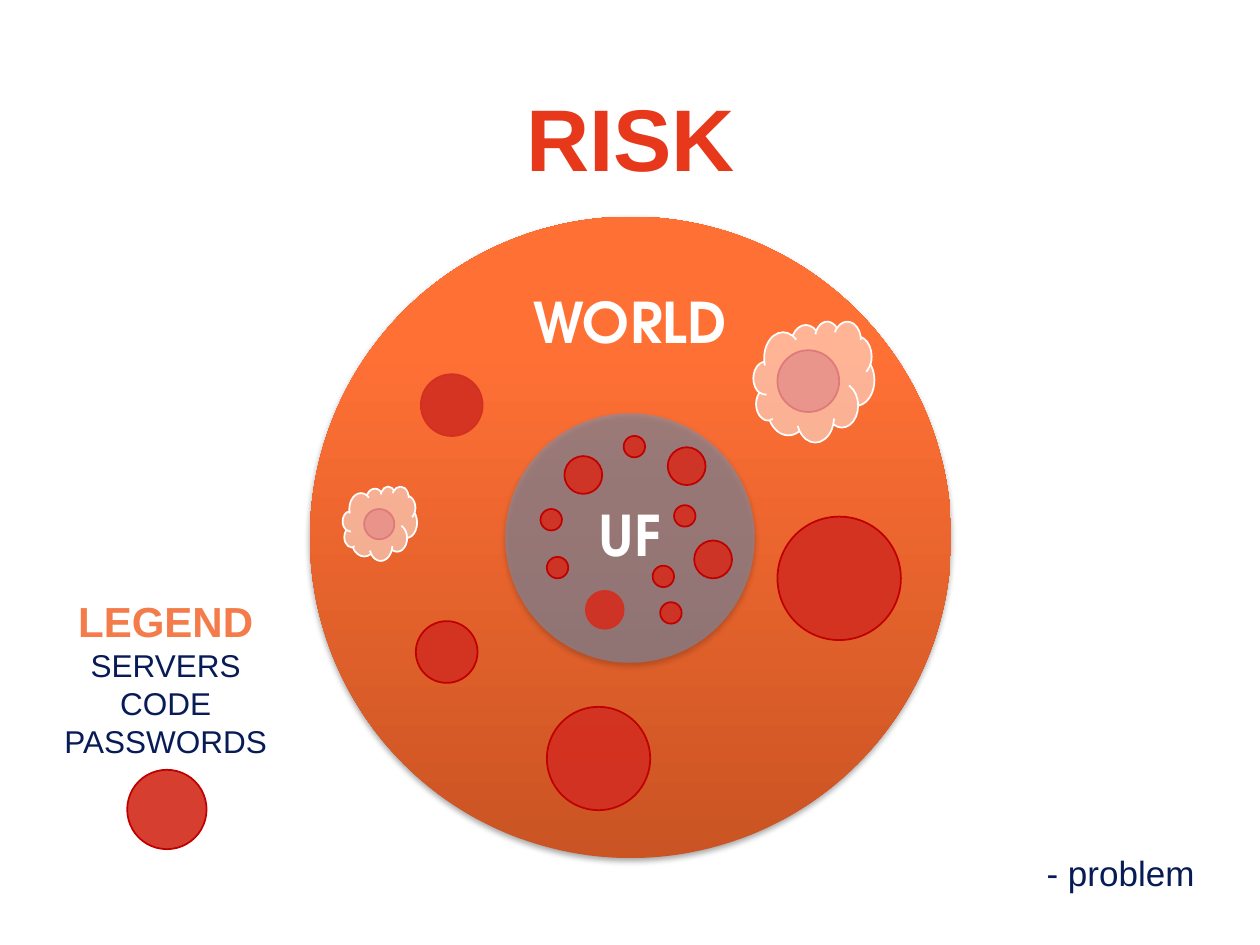
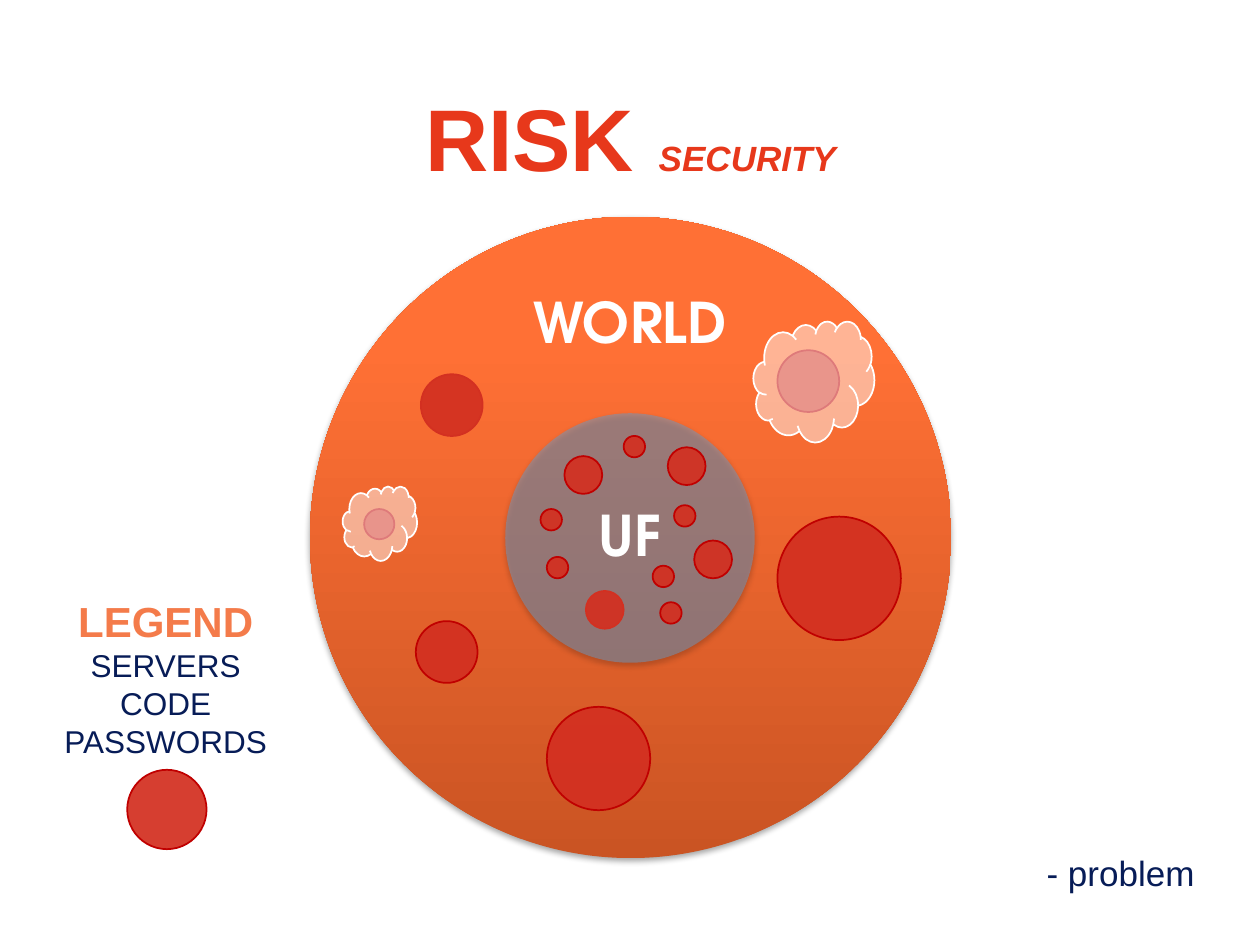
from lxml import etree
from pptx import Presentation
from pptx.dml.color import RGBColor
from pptx.enum.shapes import MSO_SHAPE
from pptx.enum.text import MSO_ANCHOR, PP_ALIGN
from pptx.oxml.ns import qn
from pptx.util import Inches, Pt

ELLIPSE, CLOUD = MSO_SHAPE.OVAL, MSO_SHAPE.CLOUD
MIDDLE, TOP = MSO_ANCHOR.MIDDLE, MSO_ANCHOR.TOP
CENTER, RIGHT = PP_ALIGN.CENTER, PP_ALIGN.RIGHT
TITLE_ONLY = 5

COLORS = {
    "title": "E7381B", "legend": "F47B4A", "navy": "071C57", "white": "FFFFFF",
    "dot": "D33021", "dot_line": "C00000", "core": "6A9AC5", "shadow": "000000",
}
WORLD_STOPS = [(0, "CA5423"), (80, "FF7035"), (100, "FF7137")]
BODY_FONT, LABEL_FONT = "Arial", "TeX Gyre Adventor"

# Left, top and size of each mark, relative to the circle that holds it
WORLD_DOTS = [(3.71, 2.38, 0.98), (1.88, 3.89, 0.82), (0.84, 3.21, 0.49),
              (0.43, 2.32, 0.24), (3.71, 1.06, 0.49)]
WORLD_PLAIN_DOT = (0.88, 1.25, 0.49)
CLOUDS = [(3.52, 0.83, 0.96), (0.26, 2.14, 0.59)]
CORE_DOTS = [(1.5, 1.01, 0.3), (0.47, 0.34, 0.3), (1.29, 0.27, 0.3)] + [
    (left, top, 0.17) for left, top in
    [(1.23, 1.5), (1.17, 1.21), (0.33, 1.14), (0.28, 0.76), (0.94, 0.18), (1.34, 0.73)]]
CORE_PLAIN_DOT = (0.64, 1.41, 0.3)


def color(name):
    return RGBColor.from_string(COLORS[name])


def add_run(paragraph, text, size, color_name, font=BODY_FONT, bold=False, italic=False):
    run = paragraph.add_run()
    run.text = text
    run.font.name, run.font.size = font, Pt(size)
    run.font.bold, run.font.italic = bold, italic
    run.font.color.rgb = color(color_name)


def add_text_box(shapes, left, top, width, height, margins=(0.1, 0.05), anchor=TOP):
    frame = shapes.add_textbox(Inches(left), Inches(top), Inches(width), Inches(height)).text_frame
    frame.word_wrap = True
    frame.vertical_anchor = anchor
    frame.margin_left = frame.margin_right = Inches(margins[0])
    frame.margin_top = frame.margin_bottom = Inches(margins[1])
    return frame


def add_round(shapes, left, top, size, kind=ELLIPSE):
    shape = shapes.add_shape(kind, Inches(left), Inches(top), Inches(size), Inches(size))
    shape.shadow.inherit = False
    return shape


def set_fill(shape, color_name, opacity):
    shape.fill.solid()
    shape.fill.fore_color.rgb = color(color_name)
    value = shape._element.spPr.find(qn("a:solidFill"))[0]
    etree.SubElement(value, qn("a:alpha"), val=str(opacity * 1000))


def set_line(shape, color_name):
    shape.line.color.rgb = color(color_name)
    shape.line.width = Pt(1)


def set_gradient(shape, stops):
    shape.fill.gradient()
    shape.fill.gradient_angle = 90
    stop_list = shape._element.spPr.find(qn("a:gradFill")).find(qn("a:gsLst"))
    for stop in list(stop_list):
        stop_list.remove(stop)
    for position, value in stops:
        stop = etree.SubElement(stop_list, qn("a:gs"), pos=str(position * 1000))
        etree.SubElement(stop, qn("a:srgbClr"), val=value)


def add_shadow(shape):
    effects = shape._element.spPr.find(qn("a:effectLst"))
    shadow = etree.SubElement(effects, qn("a:outerShdw"), blurRad=str(Pt(3.1)),
                              dist=str(Pt(1.8)), dir="5400000", rotWithShape="0")
    value = etree.SubElement(shadow, qn("a:srgbClr"), val=COLORS["shadow"])
    etree.SubElement(value, qn("a:alpha"), val="35000")


def add_dot(shapes, left, top, size, line="dot_line"):
    dot = add_round(shapes, left, top, size)
    set_fill(dot, "dot", 93)
    set_line(dot, line)


def add_cloud(shapes, left, top, size):
    cloud = add_round(shapes, left, top, size, CLOUD)
    set_fill(cloud, "white", 48)
    set_line(cloud, "white")


def add_labelled_circle(slide, left, top, size, label, label_box):
    """Group a shadowed circle with its label and return the circle."""
    shapes = slide.shapes.add_group_shape().shapes
    circle = add_round(shapes, left, top, size)
    circle.line.fill.background()
    add_shadow(circle)
    label_left, label_top, label_size = label_box
    frame = add_text_box(shapes, left + label_left, top + label_top, label_size, label_size,
                         (0.13, 0.02), MIDDLE)
    paragraph = frame.paragraphs[0]
    paragraph.alignment, paragraph.line_spacing = CENTER, 0.9
    space_after = etree.SubElement(paragraph._p.pPr, qn("a:spcAft"))
    etree.SubElement(space_after, qn("a:spcPct"), val="35000")
    add_run(paragraph, label, 32, "white", LABEL_FONT, bold=True)
    return circle


def add_dots(slide, left, top, dots, plain_dot):
    for x, y, size in dots:
        add_dot(slide.shapes, left + x, top + y, size)
    x, y, size = plain_dot
    add_dot(slide.shapes, left + x, top + y, size, line="dot")


def add_world(slide, left, top, size):
    world = add_labelled_circle(slide, left, top, size, "WORLD", (0.74, -0.94, 3.6))
    set_gradient(world, WORLD_STOPS)
    add_dots(slide, left, top, WORLD_DOTS, WORLD_PLAIN_DOT)
    for x, y, cloud_size in CLOUDS:
        add_cloud(slide.shapes, left + x, top + y, cloud_size)


def add_core(slide, left, top, size):
    core = add_labelled_circle(slide, left, top, size, "UF", (0.29, 0.29, 1.4))
    set_fill(core, "core", 50)
    add_dots(slide, left, top, CORE_DOTS, CORE_PLAIN_DOT)


def add_legend(slide, left, top, width, height):
    frame = add_text_box(slide.shapes, left, top, width, height)
    heading = frame.paragraphs[0]
    heading.alignment = CENTER
    add_run(heading, "LEGEND", 24, "legend", bold=True)
    for item in ("SERVERS", "CODE", "PASSWORDS"):
        paragraph = frame.add_paragraph()
        paragraph.alignment = CENTER
        add_run(paragraph, item, 18, "navy")
    add_dot(slide.shapes, left + 0.74, top + 1.43, 0.63)


def add_caption(slide, left, top, width, height):
    paragraph = add_text_box(slide.shapes, left, top, width, height).paragraphs[0]
    paragraph.alignment = RIGHT
    add_run(paragraph, "- problem", 20, "navy")


def set_title(slide, left, top, width, height, subject):
    title = slide.shapes.title
    title.left, title.top = Inches(left), Inches(top)
    title.width, title.height = Inches(width), Inches(height)
    title.text_frame.vertical_anchor = MIDDLE
    paragraph = title.text_frame.paragraphs[0]
    paragraph.alignment = CENTER
    add_run(paragraph, "RISK " if subject else "RISK", 50, "title", bold=True)
    if subject:
        add_run(paragraph, subject, 20, "title", bold=True, italic=True)


def add_risk_slide(presentation, subject=""):
    slide = presentation.slides.add_slide(presentation.slide_layouts[TITLE_ONLY])
    add_world(slide, 2.46, 1.72, 5.09)
    add_core(slide, 4.01, 3.28, 1.98)
    set_title(slide, 0.42, 0.42, 9.17, 1.33, subject)
    add_caption(slide, 5.71, 6.71, 3.87, 0.44)
    add_legend(slide, 0.27, 4.68, 2.09, 1.41)


def main():
    presentation = Presentation()
    presentation.slide_width, presentation.slide_height = Inches(10), Inches(7.5)
    add_risk_slide(presentation)
    add_risk_slide(presentation, "SECURITY")
    presentation.save("out.pptx")


if __name__ == "__main__":
    main()
